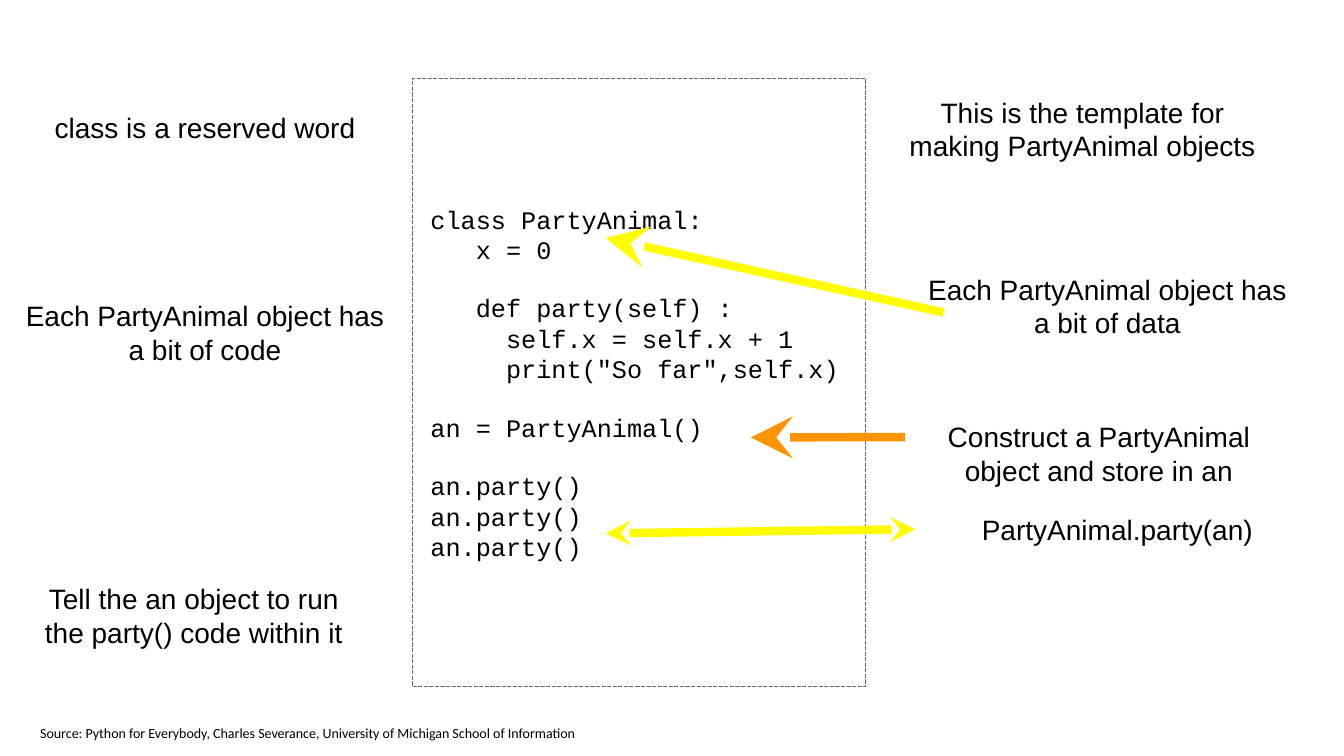
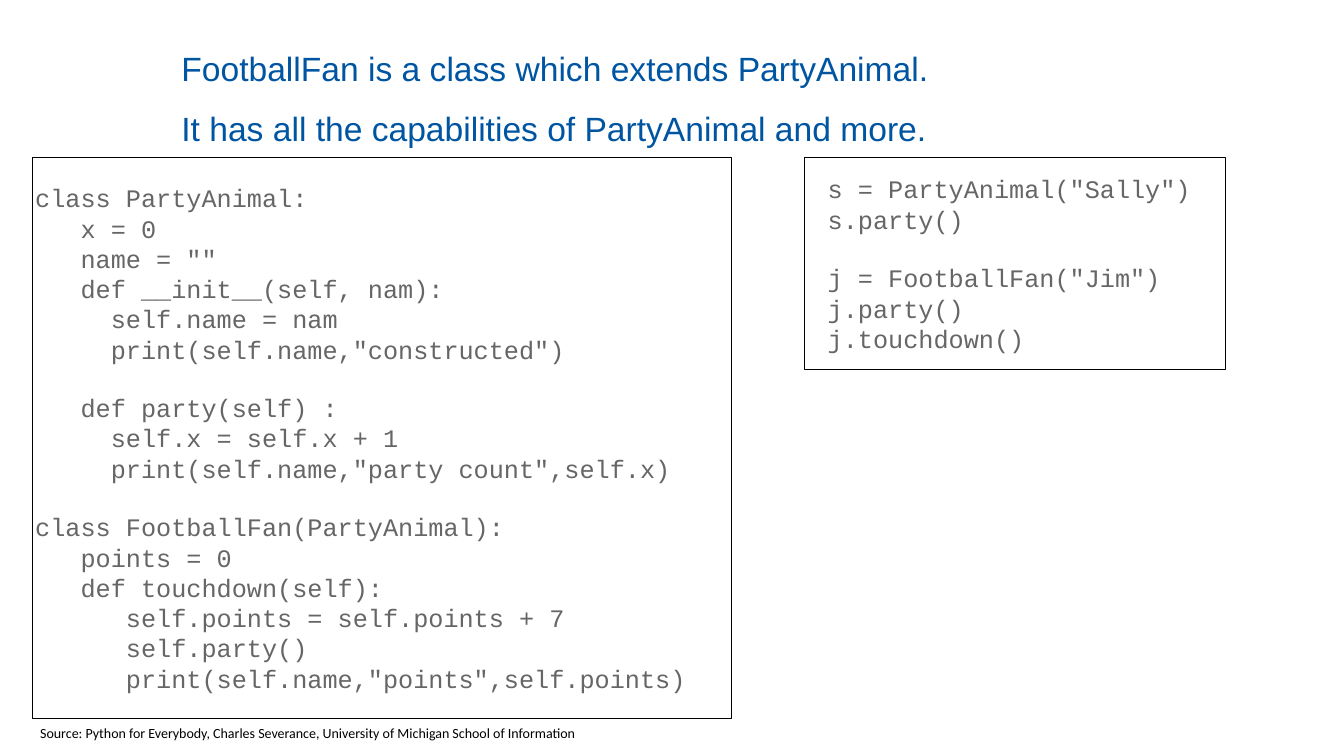
from lxml.etree import SubElement
from pptx import Presentation
from pptx.dml.color import RGBColor
from pptx.enum.dml import MSO_LINE as Dash
from pptx.enum.shapes import MSO_CONNECTOR as Link, MSO_SHAPE as Preset
from pptx.enum.text import MSO_ANCHOR as Anchor, MSO_AUTO_SIZE as Fit, PP_ALIGN as Align
from pptx.oxml.ns import qn
from pptx.util import Pt

PAGE = (0, 0, 960, 540)
BLACK, GREY, WHITE = "000000", "666666", "FFFFFF"
BLUE, YELLOW, ORANGE = "0055A2", "FFFB00", "FF9300"
CODE_SIZE = 18
CHAR_WIDTH = 0.6 * CODE_SIZE
LINE_HEIGHT = 1.13 * CODE_SIZE
TIGHT = dict.fromkeys(("margin_left", "margin_top", "margin_right", "margin_bottom"), Pt(2.2))
BODY = {"word_wrap": True, "vertical_anchor": Anchor.MIDDLE, **TIGHT}
CODE_FONT = {"name": "Courier New", "size": Pt(CODE_SIZE)}
NOTE_FONT = {"name": "Arial", "size": Pt(20)}
TITLE_FONT = {"name": "Arial", "size": Pt(24)}
SOURCE_FONT = {"name": "Calibri", "size": Pt(10)}
SOURCE = "Source: Python for Everybody, Charles Severance, University of Michigan School of Information"

PARTY_CODE = """class PartyAnimal:
   x = 0

   def party(self) :
     self.x = self.x + 1
     print("So far",self.x)

an = PartyAnimal()

an.party()
an.party()
an.party()"""

FAN_CODE = """class PartyAnimal:
   x = 0
   name = ""
   def __init__(self, nam):
     self.name = nam
     print(self.name,"constructed")

   def party(self) :
     self.x = self.x + 1
     print(self.name,"party count",self.x)

class FootballFan(PartyAnimal):
   points = 0
   def touchdown(self):
      self.points = self.points + 7
      self.party()
      print(self.name,"points",self.points)"""

USAGE_CODE = """s = PartyAnimal("Sally")
s.party()

j = FootballFan("Jim")
j.party()
j.touchdown()"""


def rgb(value):
    """Turn a hex string into a colour."""
    return RGBColor.from_string(value)


def apply(target, values):
    """Set each named format value on the target."""
    for key, value in values.items():
        setattr(target, key, value)


def within(box, left, top, width, height):
    """Give a box in points, offset from the corner of another."""
    return [Pt(n) for n in (box[0] + left, box[1] + top, width, height)]


def write(paragraph, text, font, color, **layout):
    """Fill a paragraph with one formatted run."""
    apply(paragraph, layout)
    run = paragraph.add_run()
    run.text = text
    apply(run.font, font)
    run.font.color.rgb = rgb(color)


def next_paragraph(frame, index):
    """Give the first paragraph, or a new one after it."""
    return frame.add_paragraph() if index else frame.paragraphs[0]


def outlined(slide, box, color, line):
    """Draw an unfilled rectangle and return its text frame."""
    panel = slide.shapes.add_shape(Preset.RECTANGLE, *within(box, 0, 0, *box[2:]))
    panel.shadow.inherit = False
    panel.fill.background()
    panel.line.color.rgb = rgb(color)
    apply(panel.line, line)
    apply(panel.text_frame, BODY)
    return panel.text_frame


def code_panel(slide, box, code, color, border, line, margin=0):
    """Draw a framed listing, with indents and gaps taken from the code."""
    frame = outlined(slide, box, border, line)
    gap = 0
    lines = code.splitlines()
    for index, text in enumerate(lines):
        if not text:
            gap = LINE_HEIGHT
            continue
        paragraph = next_paragraph(frame, index)
        statement = text.lstrip()
        indent = margin + CHAR_WIDTH * (len(text) - len(statement))
        paragraph._p.get_or_add_pPr().set("marL", str(Pt(indent)))
        write(paragraph, statement, CODE_FONT, color, alignment=Align.LEFT, space_before=Pt(gap))
        gap = 0


def notes(slide, box, entries):
    """Place centred notes at their offsets in a column."""
    for text, *place in entries:
        frame = slide.shapes.add_textbox(*within(box, *place)).text_frame
        apply(frame, BODY)
        write(frame.paragraphs[0], text, NOTE_FONT, BLACK, alignment=Align.CENTER)


def arrow(slide, box, start, end, color, size, ends):
    """Draw a thick arrow between two points of a box."""
    points = [Pt(box[axis] + point[axis]) for point in (start, end) for axis in (0, 1)]
    link = slide.shapes.add_connector(Link.STRAIGHT, *points)
    link.line.width = Pt(6)
    link.line.color.rgb = rgb(color)
    outline = link.get_or_add_ln()
    for tip in ends:
        SubElement(outline, qn(f"a:{tip}"), type="stealth", w=size, len=size)
    SubElement(outline.getparent(), qn("a:effectLst"))


def heading(slide, box, lines):
    """Write the heading lines at one and a half spacing."""
    frame = outlined(slide, box, WHITE, {"width": Pt(2)})
    for index, text in enumerate(lines):
        write(next_paragraph(frame, index), text, TITLE_FONT, BLUE,
              alignment=Align.LEFT, line_spacing=1.5)


def source_line(slide, box):
    """Write the source at the foot of the page."""
    frame = slide.shapes.add_textbox(*within(box, 21.6, 514, 403, 19.4)).text_frame
    apply(frame, {"word_wrap": False, "auto_size": Fit.SHAPE_TO_FIT_TEXT})
    write(frame.paragraphs[0], SOURCE, SOURCE_FONT, BLACK)


def template_slide(slide, box):
    """Explain the parts of a class around its listing."""
    left, top = box[:2]
    code_panel(slide, (left + 294.5, top + 56.2, 324, 434.2), PARTY_CODE, BLACK, GREY,
               {"width": Pt(1), "dash_style": Dash.SQUARE_DOT}, CHAR_WIDTH)
    notes(slide, (left + 8, top), [
        ("class is a reserved word", 0, 56, 277, 70),
        ("Each PartyAnimal object has a bit of code", 0, 186, 277, 103),
        ("Tell the an object to run the party() code within it", 18, 388, 225, 103),
    ])
    notes(slide, (left + 646.5, top), [
        ("This is the template for making PartyAnimal objects", 0, 37.4, 253.5, 109),
        ("Each PartyAnimal object has a bit of data", 11, 167, 267, 103),
        ("Construct a PartyAnimal object and store in an", 0, 277, 277, 93.6),
        ("PartyAnimal.party(an)", 7.3, 358.6, 288.7, 39),
    ])
    for start, end, color, size, ends in [
        ((432.7, 170), (674, 223.2), YELLOW, "lg", ["headEnd"]),
        ((432.7, 381), (653.8, 378), YELLOW, "med", ["headEnd", "tailEnd"]),
        ((536.4, 312.5), (646.5, 312.2), ORANGE, "lg", ["headEnd"]),
    ]:
        arrow(slide, box, start, end, color, size, ends)


def inheritance_slide(slide, box):
    """Show a class that extends another, and its use."""
    left, top = box[:2]
    thin = {"width": Pt(0.75)}
    code_panel(slide, (left + 23, top + 112.3, 499.7, 401), FAN_CODE, GREY, BLACK, thin)
    code_panel(slide, (left + 574.6, top + 112.3, 301, 152), USAGE_CODE, GREY, BLACK, thin, 14.4)
    heading(slide, (left + 127.4, top + 26, 584.6, 73.4), [
        "FootballFan is a class which extends PartyAnimal.",
        "It has all the capabilities of PartyAnimal and more.",
    ])


def main():
    """Build and save the deck."""
    deck = Presentation()
    deck.slide_width, deck.slide_height = Pt(PAGE[2]), Pt(PAGE[3])
    for build in (template_slide, inheritance_slide):
        slide = deck.slides.add_slide(deck.slide_layouts[6])
        build(slide, PAGE)
        source_line(slide, PAGE)
    deck.save("out.pptx")


if __name__ == "__main__":
    main()
